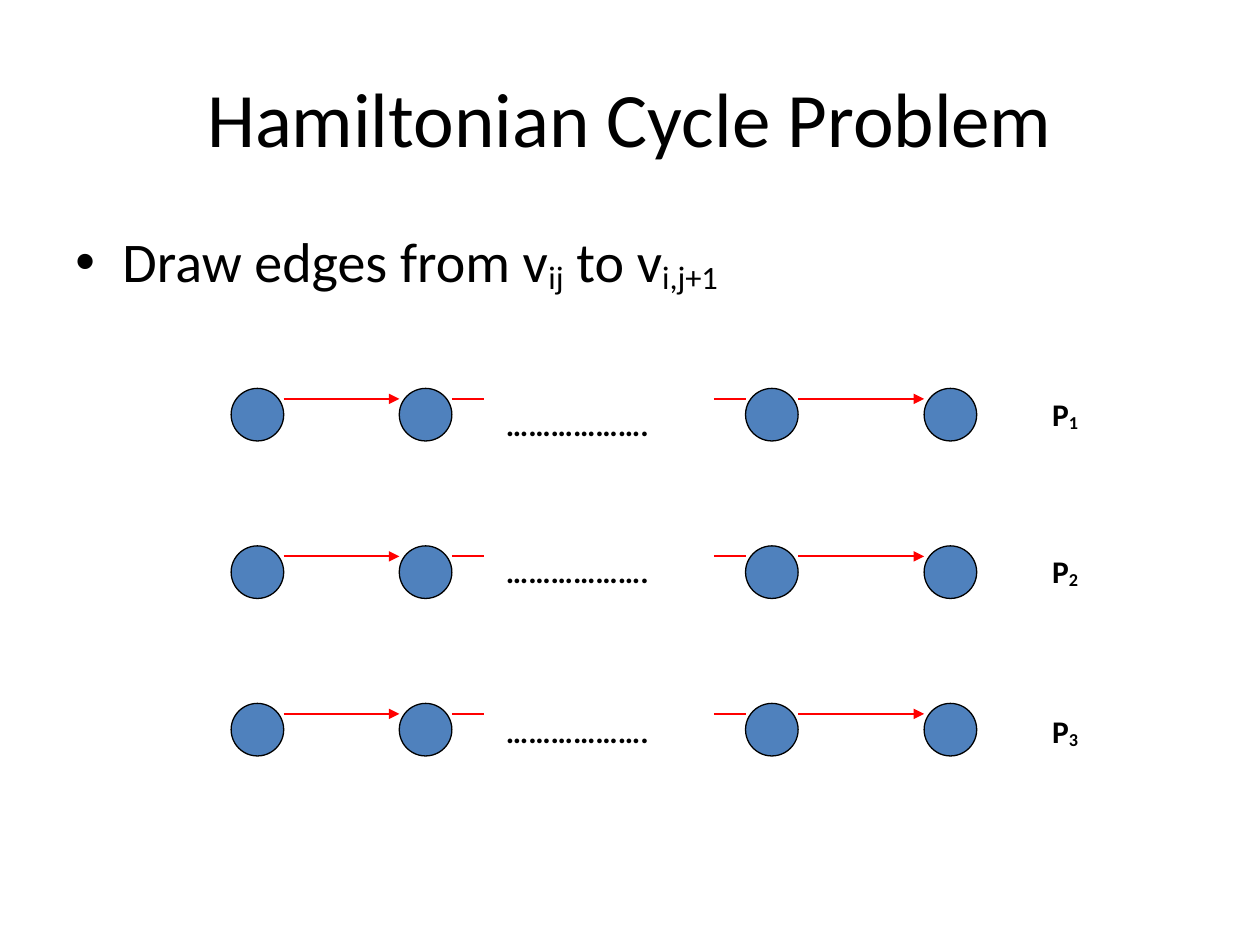
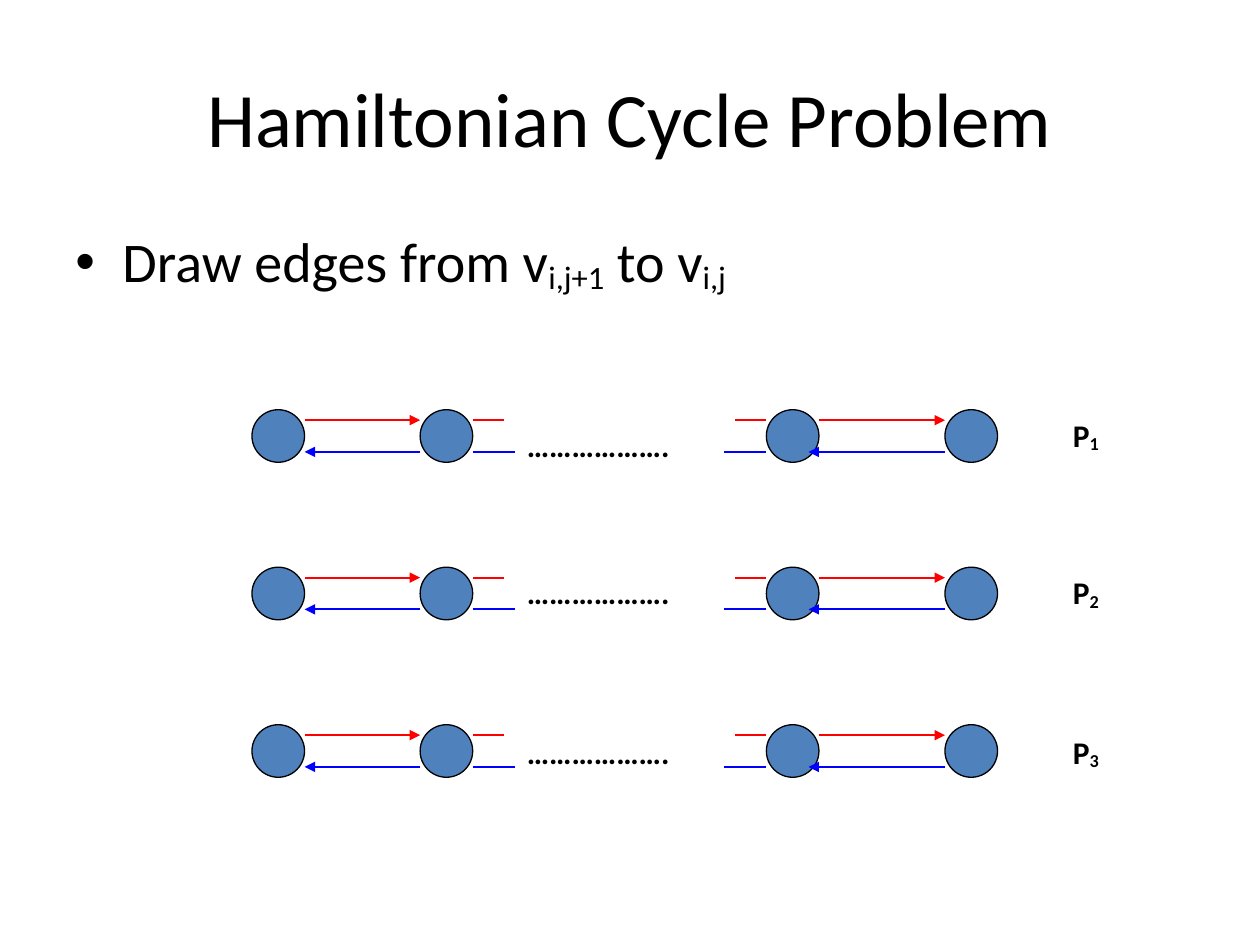
from lxml.etree import SubElement
from pptx import Presentation
from pptx.dml.color import RGBColor
from pptx.enum.shapes import MSO_CONNECTOR as Connector, MSO_SHAPE as Preset
from pptx.enum.text import MSO_ANCHOR as Anchor, PP_ALIGN as Align
from pptx.oxml.ns import qn
from pptx.util import Cm, Pt

COLORS = {"text": "000000", "node": "4F81BD", "forward": "FF0000", "backward": "0000FF"}
FONT = "Calibri"
TITLE = "Hamiltonian Cycle Problem"
TITLE_BOX = (1.27, 0.76, 22.86, 3.18)
BODY_BOX = (1.27, 4.45, 22.86, 12.57)

NODE_SIZE = 1.06
NODE_LEFTS = (0, 3.39, 10.37, 13.97)
ROW_PITCH = 3.175
DOTS_LEFT, DOTS_WIDTH = 5.29, 4.66
LABEL_LEFT, LABEL_WIDTH = 16.3, 1.69
TEXT_HEIGHT = 1.02
DOTS_DROPS = (0.21, 0, 0.04)
LABEL_DROPS = (0, 0, 0.04)


def color(name):
    return RGBColor.from_string(COLORS[name])


def add_text(shapes, box, parts, size, bold=False, align=Align.LEFT,
             anchor=Anchor.TOP, bullet=False, drop=-12):
    text_box = shapes.add_textbox(*(Cm(length) for length in box))
    frame = text_box.text_frame
    frame.word_wrap = True
    frame.vertical_anchor = anchor
    paragraph = frame.paragraphs[0]
    paragraph.alignment = align
    if bullet:
        properties = paragraph._p.get_or_add_pPr()
        properties.set("marL", str(Cm(0.95)))
        properties.set("indent", str(Cm(-0.95)))
        SubElement(properties, qn("a:buFont"), typeface="Arial")
        SubElement(properties, qn("a:buChar"), char="•")
    font = paragraph.font
    font.name, font.size, font.bold = FONT, Pt(size), bold
    font.color.rgb = color("text")
    for index, part in enumerate(parts):
        run = paragraph.add_run()
        run.text = part
        if index % 2:
            run._r.get_or_add_rPr().set("baseline", str(drop * 1000))


def add_node(shapes, left, top):
    node = shapes.add_shape(Preset.OVAL, Cm(left), Cm(top), Cm(NODE_SIZE), Cm(NODE_SIZE))
    node.shadow.inherit = False
    node.fill.solid()
    node.fill.fore_color.rgb = color("node")
    node.line.color.rgb = color("text")
    node.line.width = Pt(0.75)


def add_edge(slide, start, end, y, color_name, arrow=False):
    edge = slide.shapes.add_connector(Connector.STRAIGHT, Cm(start), Cm(y), Cm(end), Cm(y))
    edge.line.color.rgb = color(color_name)
    edge.line.width = Pt(1.25)
    if arrow:
        SubElement(edge.line._get_or_add_ln(), qn("a:tailEnd"), type="triangle")
    SubElement(edge._element.spPr, qn("a:effectLst"))


def add_path_rows(slide, left, top):
    shapes = slide.shapes.add_group_shape().shapes
    for row, (dots_drop, label_drop) in enumerate(zip(DOTS_DROPS, LABEL_DROPS)):
        y = top + row * ROW_PITCH
        for node_left in NODE_LEFTS:
            add_node(shapes, left + node_left, y)
        add_text(shapes, (left + DOTS_LEFT, y + dots_drop, DOTS_WIDTH, TEXT_HEIGHT),
                 ["……………….",], 18, bold=True)
        add_text(shapes, (left + LABEL_LEFT, y + label_drop, LABEL_WIDTH, TEXT_HEIGHT),
                 ["P", str(row + 1)], 18, bold=True, drop=-10)


def add_edges(slide, left, top, color_name, drop, stub, overlap=0, reverse=False):
    first, second, third, fourth = (left + node_left for node_left in NODE_LEFTS)
    spans = [(first + NODE_SIZE, second), (third + NODE_SIZE - overlap, fourth)]
    stubs = [(second + NODE_SIZE, second + NODE_SIZE + stub), (third - stub, third)]
    for row in range(len(DOTS_DROPS)):
        y = top + row * ROW_PITCH + drop
        for span in spans:
            start, end = reversed(span) if reverse else span
            add_edge(slide, start, end, y, color_name, arrow=True)
        for start, end in stubs:
            add_edge(slide, start, end, y, color_name)


def add_edge_slide(presentation, statement, left, top, backward=False):
    slide = presentation.slides.add_slide(presentation.slide_layouts[6])
    add_text(slide.shapes, TITLE_BOX, [TITLE], 44, align=Align.CENTER, anchor=Anchor.MIDDLE)
    add_text(slide.shapes, BODY_BOX, statement, 32, bullet=True)
    add_path_rows(slide, left, top)
    add_edges(slide, left, top, "forward", drop=0.21, stub=0.64)
    if backward:
        add_edges(slide, left, top, "backward", drop=0.85, stub=0.85,
                  overlap=0.21, reverse=True)


def main():
    presentation = Presentation()
    presentation.slide_width, presentation.slide_height = Cm(25.4), Cm(19.05)
    add_edge_slide(presentation, ["Draw edges from v", "ij", " to v", "i,j+1"], 4.66, 7.83)
    add_edge_slide(presentation, ["Draw edges from v", "i,j+1", " to v", "i,j"],
                   5.08, 8.26, backward=True)
    presentation.save("out.pptx")


if __name__ == "__main__":
    main()
